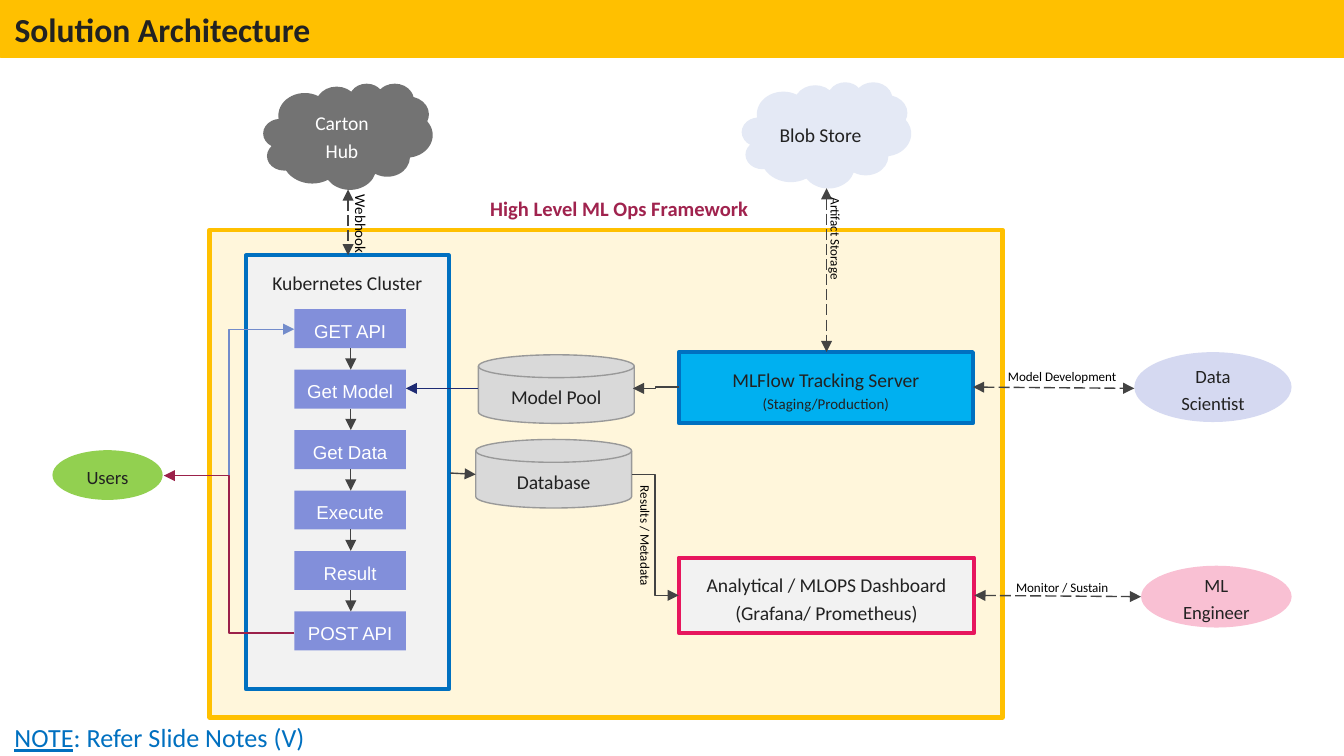
from lxml.etree import SubElement
from pptx import Presentation
from pptx.dml.color import RGBColor
from pptx.enum.dml import MSO_LINE
from pptx.enum.shapes import MSO_CONNECTOR, MSO_SHAPE
from pptx.enum.text import MSO_ANCHOR, PP_ALIGN
from pptx.oxml.ns import qn
from pptx.util import Inches, Pt

AMBER = RGBColor(0xFF, 0xC0, 0x00)
BLUE = RGBColor(0x00, 0x70, 0xC0)
SKY = RGBColor(0x00, 0xB0, 0xF0)
PERI = RGBColor(0x82, 0x8F, 0xDA)
STEEL = RGBColor(0x73, 0x8C, 0xCB)
NAVY = RGBColor(0x1E, 0x2B, 0x73)
LILAC = RGBColor(0xD5, 0xD9, 0xF1)
MIST = RGBColor(0xE4, 0xE9, 0xF5)
GREEN = RGBColor(0x92, 0xD0, 0x50)
PINK = RGBColor(0xF9, 0xC0, 0xD3)
ROSE = RGBColor(0xE7, 0x16, 0x5D)
WINE = RGBColor(0x9B, 0x21, 0x4A)
PLUM = RGBColor(0xA0, 0x23, 0x4E)
PALE = RGBColor(0xF2, 0xF2, 0xF2)
SILVER = RGBColor(0xD9, 0xD9, 0xD9)
GREY = RGBColor(0x99, 0x99, 0x99)
SLATE = RGBColor(0x73, 0x73, 0x73)
DARK = RGBColor(0x43, 0x43, 0x43)
INK = RGBColor(0x22, 0x22, 0x22)
BLACK = RGBColor(0x00, 0x00, 0x00)
WHITE = RGBColor(0xFF, 0xFF, 0xFF)

RECT, OVAL = MSO_SHAPE.RECTANGLE, MSO_SHAPE.OVAL
CLOUD, DISK = MSO_SHAPE.CLOUD, MSO_SHAPE.FLOWCHART_MAGNETIC_DISK
MID, TOP = MSO_ANCHOR.MIDDLE, MSO_ANCHOR.TOP
LEFT, CENTER, RIGHT = PP_ALIGN.LEFT, PP_ALIGN.CENTER, PP_ALIGN.RIGHT

# A 16:9 slide
deck = Presentation()
deck.slide_width, deck.slide_height = Inches(10), Inches(10 * 9 / 16)
slide = deck.slides.add_slide(deck.slide_layouts[6])


def box(kind, at, runs=(), fill=None, line=None, width=0.75, anchor=MID,
        align=CENTER, pad=(0.08, 0.08), space=1.2, wrap=True):
    """Add a shape, or a text box when kind is None; runs are (text, format)."""
    at = [Inches(v) for v in at]
    if kind is None:
        shape = slide.shapes.add_textbox(*at)
    else:
        shape = slide.shapes.add_shape(kind, *at)
        shape.shadow.inherit = False
        shape.fill.solid()
        shape.fill.fore_color.rgb = fill
        if line is None:
            shape.line.fill.background()
        else:
            shape.line.color.rgb = line
            shape.line.width = Pt(width)
    frame = shape.text_frame
    side, end = Inches(pad[0]), Inches(pad[1])
    form = {"word_wrap": wrap, "vertical_anchor": anchor, "margin_left": side,
            "margin_right": side, "margin_top": end, "margin_bottom": end}
    for key, value in form.items():
        setattr(frame, key, value)
    para = frame.paragraphs[0]
    para.alignment, para.line_spacing = align, space
    for text, look in runs:
        run = para.add_run()
        run.text = text
        look = {"name": "Calibri", "size": 10.5, "color": INK, **look}
        run.font.color.rgb = look.pop("color")
        look["size"] = Pt(look["size"])
        for key, value in look.items():
            setattr(run.font, key, value)
    return shape


def link(start, end, color=DARK, bent=False, both=False):
    """Add an arrow; one with two heads is dashed."""
    kind = MSO_CONNECTOR.ELBOW if bent else MSO_CONNECTOR.STRAIGHT
    wire = slide.shapes.add_connector(kind, *[Inches(v) for v in start + end])
    wire.line.color.rgb = color
    wire.line.width = Pt(0.75)
    if both:
        wire.line.dash_style = MSO_LINE.LONG_DASH
    props = wire._element.spPr
    for tag in ["a:headEnd", "a:tailEnd"] if both else ["a:tailEnd"]:
        SubElement(props.find(qn("a:ln")), qn(tag), type="triangle")
    SubElement(props, qn("a:effectLst"))


# Framework and cluster frames
frame = box(RECT, (1.56, 1.71, 5.9, 3.63), fill=AMBER, line=AMBER, width=2.25)
tint = frame._element.spPr.find(qn("a:solidFill"))[0]
SubElement(tint, qn("a:alpha"), val="14000")
box(RECT, (1.83, 1.9, 1.51, 3.23), [("Kubernetes Cluster", {})],
    PALE, BLUE, 2, TOP)

# Pipeline steps, each joined to the next
steps = ["GET API", "Get Model", "Get Data", "Execute", "Result", "POST API"]
pitch, tall = 0.45, 0.29
for i, step in enumerate(steps):
    top = 2.3 + i * pitch
    box(RECT, (2.19, top, 0.83, tall),
        [(step, {"name": "Arial", "size": 10, "color": WHITE})], PERI)
    if i:
        link((2.61, top - pitch + tall), (2.61, top))

# Stores and clouds
nodes = [
    (DISK, (3.54, 3.27, 1.16, 0.51), "Database", INK, SILVER, GREY),
    (DISK, (3.56, 2.64, 1.16, 0.51), "Model Pool", INK, SILVER, GREY),
    (CLOUD, (5.52, 0.61, 1.26, 0.79), "Blob Store", INK, MIST, None),
    (CLOUD, (1.96, 0.62, 1.26, 0.79), "Carton Hub", WHITE, SLATE, None),
]
for kind, at, text, color, fill, line in nodes:
    box(kind, at, [(text, {"color": color})], fill, line)

# People
people = [
    ((0.39, 3.35, 0.82, 0.37), "Users", GREEN),
    ((8.44, 2.62, 1.17, 0.52), "Data Scientist", LILAC),
    ((8.49, 4.21, 1.12, 0.46), "ML Engineer", PINK),
]
for at, text, fill in people:
    box(OVAL, at, [(text, {"size": 10})], fill)

# Tracking server and dashboard
box(RECT, (5.05, 2.62, 2.19, 0.53),
    [("MLFlow Tracking Server ", {}), ("(Staging/Production)", {"size": 8})],
    SKY, BLUE, 2, TOP)
box(RECT, (5.05, 4.15, 2.2, 0.56),
    [("Analytical / MLOPS Dashboard (Grafana/ Prometheus)", {})],
    PALE, ROSE, 2, TOP)

# Arrows between the parts
link((1.22, 3.54), (2.19, 2.45), STEEL, bent=True)
link((2.19, 4.71), (1.22, 3.54), WINE, bent=True)
link((3.35, 3.52), (3.54, 3.53))
link((4.7, 3.53), (5.05, 4.43), bent=True)
link((3.56, 2.89), (3.02, 2.89), NAVY, bent=True)
link((5.05, 2.88), (4.71, 2.89), bent=True)
for start, end in [((7.25, 4.43), (8.49, 4.44)), ((7.24, 2.88), (8.44, 2.89)),
                   ((6.15, 1.4), (6.15, 2.62)), ((2.59, 1.41), (2.59, 1.9))]:
    link(start, end, both=True)

# Labels
labels = [
    ((4.42, 3.95, 0.8, 0.13), "Results / Metadata", 7, 90),
    ((7.56, 4.29, 0.72, 0.13), "Monitor / Sustain", 7, 0),
    ((7.5, 2.72, 0.84, 0.13), "Model Development", 7, 0),
    ((5.78, 1.86, 0.91, 0.13), "Artifact Storage", 7, 90),
    ((2.43, 1.65, 0.55, 0.15), "Webhook", 8, 90),
]
for at, text, size, turn in labels:
    note = box(None, at, [(text, {"size": size, "color": BLACK})],
               anchor=TOP, align=LEFT, pad=(0, 0), wrap=False)
    note.rotation = turn
box(None, (3.63, 1.42, 1.94, 0.21),
    [("High Level ML Ops Framework", {"size": 11, "color": PLUM, "bold": True})],
    anchor=TOP, align=RIGHT, pad=(0, 0), wrap=False)

# Title bar and footnote
box(RECT, (0.01, 0.01, 9.99, 0.41),
    [("Solution Architecture", {"size": 18, "bold": True})],
    AMBER, AMBER, 2, align=LEFT, pad=(0.1, 0.05), space=1)
blue = {"size": 14, "color": BLUE}
box(None, (0.01, 5.32, 7.13, 0.34),
    [("NOTE", {**blue, "underline": True}), (": Refer Slide Notes (V)", blue)],
    anchor=TOP, align=LEFT, pad=(0.1, 0.05), space=1)

deck.save("out.pptx")
